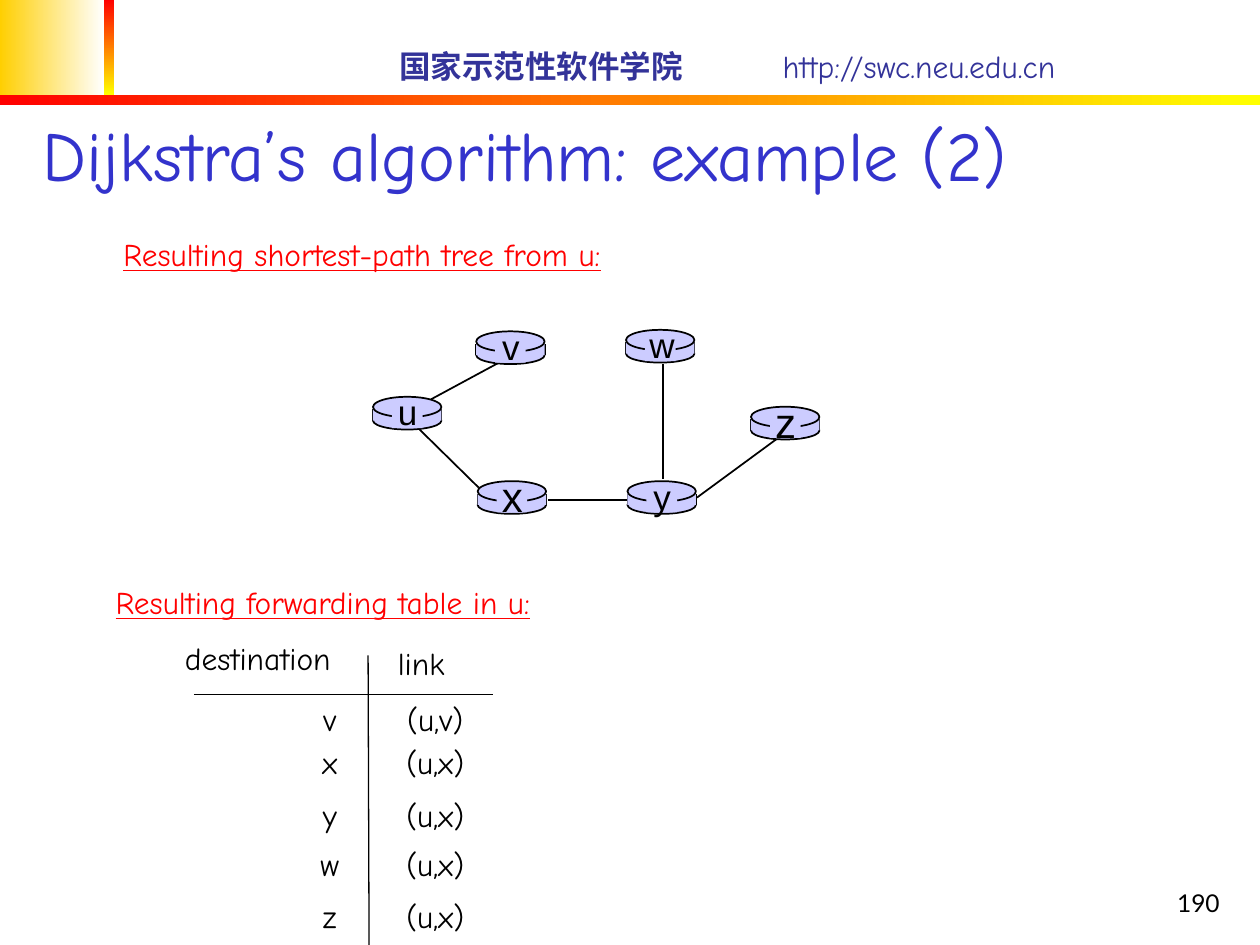
from dataclasses import dataclass

from lxml.etree import SubElement
from pptx import Presentation
from pptx.dml.color import RGBColor as RGB
from pptx.enum.shapes import MSO_CONNECTOR as LINK, MSO_SHAPE as SHAPE
from pptx.enum.text import MSO_ANCHOR as ANCHOR, MSO_AUTO_SIZE as FIT, PP_ALIGN as ALIGN
from pptx.oxml.ns import qn
from pptx.util import Cm, Pt


@dataclass(frozen=True)
class Theme:
    hand: str = "Comic Neue"
    sans: str = "Arial"
    num: str = "Lato"
    ink: str = "000000"
    blue: str = "3333CC"
    navy: str = "333399"
    red: str = "FF0000"
    yellow: str = "FFFF00"
    gold: str = "FFCF01"
    white: str = "FFFFFF"
    lilac: str = "CCCCFF"
    title: int = 40
    body: int = 18
    page: int = 14
    thin: float = 0.75
    line: float = 1


T = Theme()


def style(run, size, color, face=T.hand, bold=False, under=False):
    font = run.font
    font.size, font.name = Pt(size), face
    font.bold, font.underline = bold, under
    font.color.rgb = RGB.from_string(color)


def label(slide, box, words, size=T.body, color=T.ink, face=T.hand,
          align=ALIGN.LEFT, anchor=ANCHOR.TOP, wrap=False, **look):
    """Add a text box with one run and return its paragraph."""
    frame = slide.shapes.add_textbox(*map(Cm, box)).text_frame
    frame.word_wrap, frame.vertical_anchor = wrap, anchor
    para = frame.paragraphs[0]
    para.alignment = align
    run = para.add_run()
    run.text = words
    style(run, size, color, face, **look)
    return para


def block(slide, kind, box, fill=T.lilac, line=False):
    """Add a preset shape; a fill of (from, to, angle) is a gradient."""
    shape = slide.shapes.add_shape(kind, *map(Cm, box))
    shape.shadow.inherit = False
    if isinstance(fill, tuple):
        *hues, angle = fill
        shape.fill.gradient()
        shape.fill.gradient_angle = angle
        for stop, hue in zip(shape.fill.gradient_stops, hues):
            stop.color.rgb = RGB.from_string(hue)
    else:
        shape.fill.solid()
        shape.fill.fore_color.rgb = RGB.from_string(fill)
    if line:
        shape.line.color.rgb = RGB.from_string(T.ink)
        shape.line.width = Pt(T.line)
    else:
        shape.line.fill.background()


def stroke(slide, ends, width=T.line):
    line = slide.shapes.add_connector(LINK.STRAIGHT, *map(Cm, ends))
    line.line.color.rgb = RGB.from_string(T.ink)
    line.line.width = Pt(width)
    SubElement(line._element.spPr, qn("a:effectLst"))


def banner(slide, x, y):
    block(slide, SHAPE.RECTANGLE, (x, y, 2.1, 1.92), (T.gold, T.white, 0))
    block(slide, SHAPE.RECTANGLE, (x + 2.1, y, 0.2, 1.92), (T.red, T.yellow, 270))
    block(slide, SHAPE.RECTANGLE, (x, y + 1.92, 25.4, 0.2), (T.red, T.yellow, 0))
    para = label(slide, (x + 7.8, y + 0.82, 17.6, 1.02), "国家示范性软件学院",
                 color=T.navy, anchor=ANCHOR.MIDDLE, wrap=True, bold=True)
    tabs = SubElement(para._p.get_or_add_pPr(), qn("a:tabLst"))
    SubElement(tabs, qn("a:tab"), pos=str(Cm(7.73)), algn="l")
    run = para.add_run()
    run.text = "\thttp://swc.neu.edu.cn"
    style(run, T.body, T.navy)


def heading(slide, x, y, w, h):
    title = slide.shapes.title
    title.left, title.top, title.width, title.height = map(Cm, (x, y, w, h))
    frame = title.text_frame
    frame.auto_size, frame.vertical_anchor = FIT.NONE, ANCHOR.BOTTOM
    para = frame.paragraphs[0]
    para.alignment = ALIGN.LEFT
    run = para.add_run()
    run.text = "Dijkstra’s algorithm: example (2)"
    style(run, T.title, T.blue)


def router(slide, x, y, name, size):
    wide = 1.38
    block(slide, SHAPE.OVAL, (x, y + 0.3, wide, 0.36), line=True)
    for side in (x, x + wide):
        stroke(slide, (side, y + 0.25, side, y + 0.48))
    block(slide, SHAPE.RECTANGLE, (x, y + 0.25, wide, 0.23))
    block(slide, SHAPE.OVAL, (x, y, wide, 0.41), line=True)
    block(slide, SHAPE.RECTANGLE, (x + 0.38, y + 0.05, 0.62, 0.58))
    label(slide, (x + 0.22, y - 0.3, 0.96, 1.2), name, size, face=T.sans,
          align=ALIGN.CENTER, anchor=ANCHOR.MIDDLE)


def tree(slide, x, y):
    links = [(1.19, 1.45, 2.69, 0.64), (5.86, 0.74, 5.86, 3.05),
             (6.55, 3.43, 8.17, 2.24), (3.55, 3.48, 5.17, 3.48),
             (0.96, 2.06, 2.15, 3.23)]
    nodes = [("u", 0.02, 1.4, 20), ("y", 5.15, 3.1, 20), ("x", 2.13, 3.1, 24),
             ("w", 5.12, 0.05, 20), ("v", 2.1, 0.08, 20), ("z", 7.64, 1.6, 24)]
    for x1, y1, x2, y2 in links:
        stroke(slide, (x + x1, y + y1, x + x2, y + y2))
    for name, dx, dy, size in nodes:
        router(slide, x + dx, y + dy, name, size)


def routes(slide, x, y):
    """Draw the forwarding table: two rules, a head and five rows."""
    stroke(slide, (x + 3.94, y + 0.46, x + 3.96, y + 6.3), T.thin)
    stroke(slide, (x + 0.43, y + 1.25, x + 6.45, y + 1.25), T.thin)
    label(slide, (x, y, 3.81, 1.02), "destination")
    label(slide, (x + 4.29, y + 0.1, 1.52, 1.02), "link")
    rows = [("v", "(u,v)", 1.23), ("x", "(u,x)", 2.11), ("y", "(u,x)", 3.17),
            ("w", "(u,x)", 4.17), ("z", "(u,x)", 5.2)]
    for goal, link, dy in rows:
        label(slide, (x + 2.72, y + dy, 0.9, 1.02), goal, align=ALIGN.CENTER)
        label(slide, (x + 4.37, y + dy, 1.85, 1.02), link, align=ALIGN.CENTER)


def main():
    deck = Presentation()
    deck.slide_width, deck.slide_height = Cm(25.4), Cm(19.05)
    slide = deck.slides.add_slide(deck.slide_layouts[5])
    banner(slide, 0, 0)
    heading(slide, 0.61, 0, 22.81, 4.06)
    label(slide, (2.24, 4.62, 11.4, 1.02), "Resulting shortest-path tree from u:",
          color=T.red, under=True)
    tree(slide, 7.5, 6.6)
    label(slide, (2.08, 11.63, 9.75, 1.02), "Resulting forwarding table in u:",
          color=T.red, under=True)
    routes(slide, 3.48, 12.75)
    label(slide, (19.56, 17.35, 5.28, 1.27), "190", T.page, face=T.num,
          align=ALIGN.RIGHT, anchor=ANCHOR.BOTTOM, wrap=True)
    deck.save("out.pptx")


if __name__ == "__main__":
    main()
